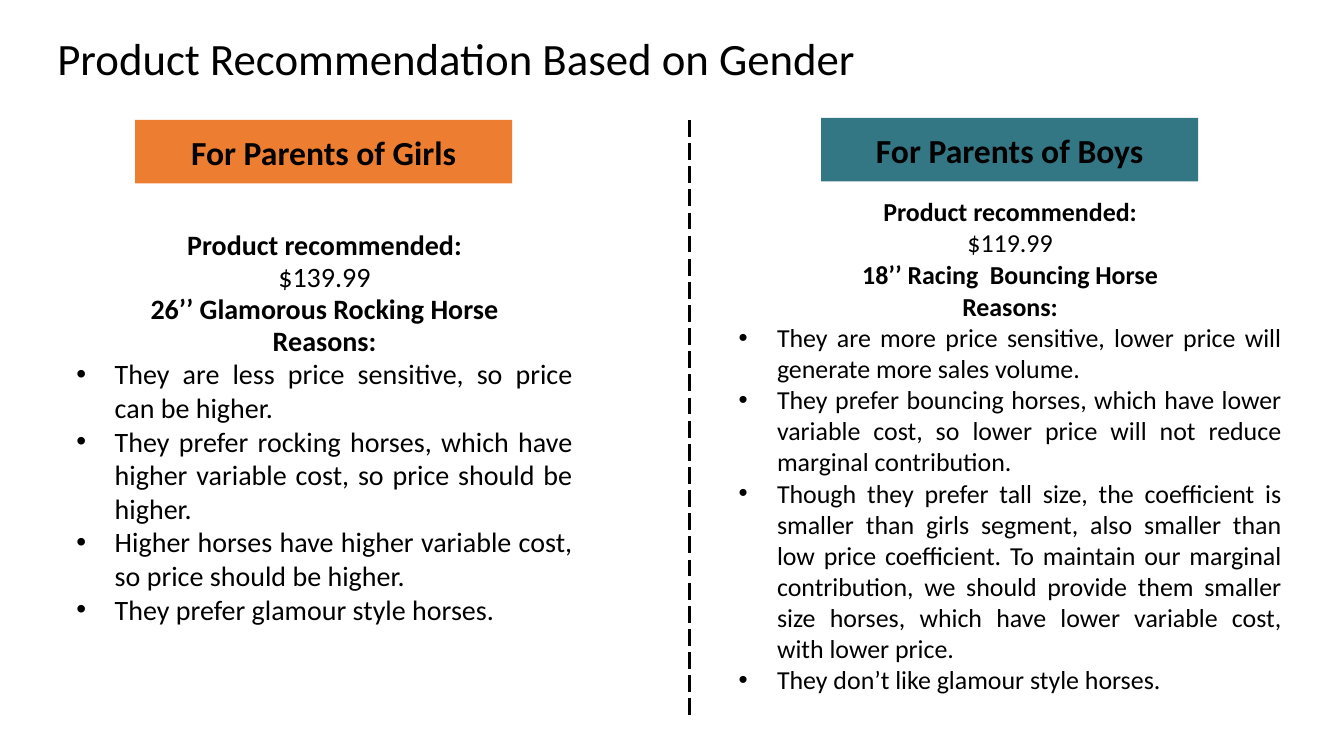
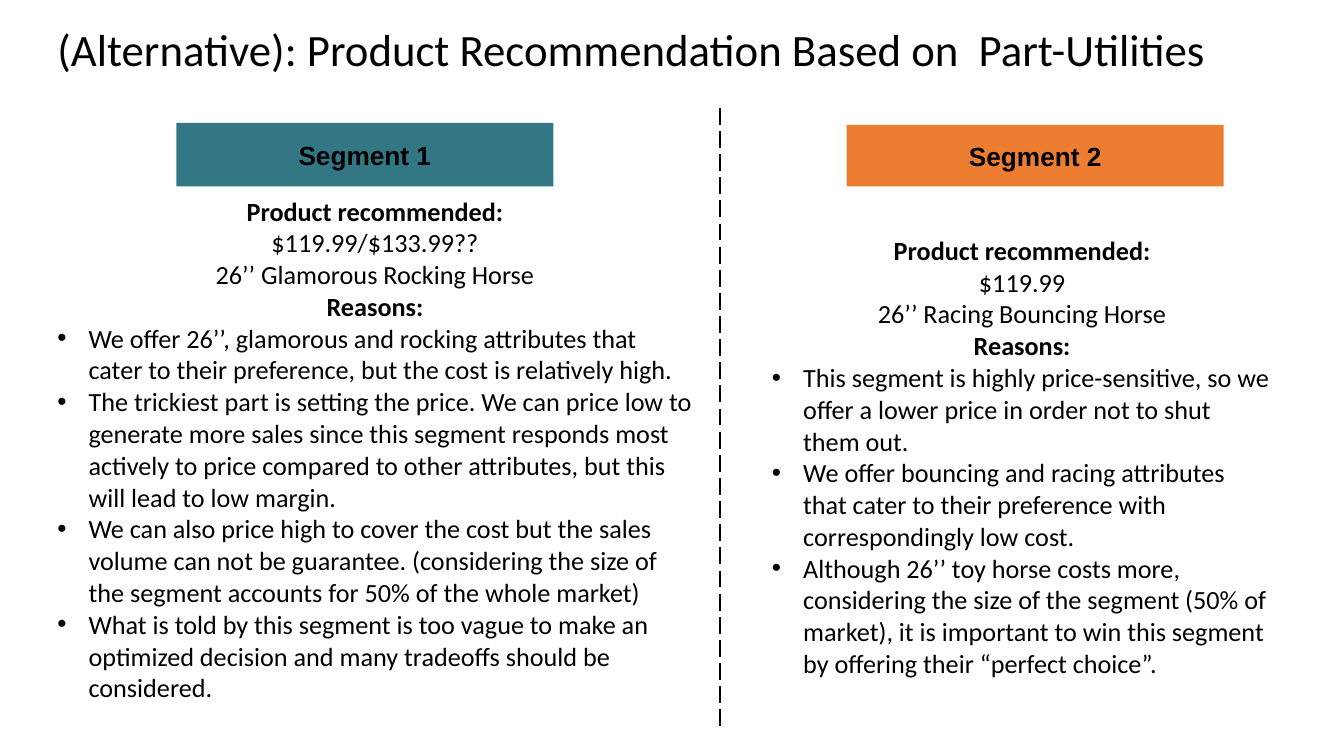
from lxml.etree import SubElement
from pptx import Presentation
from pptx.dml.color import RGBColor
from pptx.enum.dml import MSO_LINE
from pptx.enum.shapes import MSO_CONNECTOR, MSO_SHAPE
from pptx.enum.text import MSO_ANCHOR, PP_ALIGN
from pptx.oxml.ns import qn
from pptx.util import Inches, Pt

BLACK = RGBColor(0x00, 0x00, 0x00)
ORANGE = RGBColor(0xED, 0x7D, 0x31)
TEAL = RGBColor(0x33, 0x77, 0x85)
BODY_FONT = "Calibri"
HEADING_SPACING = Pt(22.7)

deck = Presentation()
deck.slide_width = Inches(13.33)
deck.slide_height = Inches(7.5)
COLUMN = deck.slide_width / 100
ROW = deck.slide_height / 100


def place(left, top, width, height):
    return (round(left * COLUMN), round(top * ROW),
            round(width * COLUMN), round(height * ROW))


def style(para, size, bold=False, font=BODY_FONT):
    for span in para.runs:
        span.font.name = font
        span.font.size = Pt(size)
        span.font.bold = bold
        span.font.color.rgb = BLACK


pages = [
    {
        "title": "Product Recommendation Based on Gender",
        "title_top": 3.07,
        "divider": (51.3, 15.87, 95.33),
        "banner_font": ("Calibri", 24),
        "bold_product": True,
        "bullet_align": PP_ALIGN.JUSTIFY,
        "bullet_indent": Inches(0.38),
        "bullet_spacing": 1.0,
        "segments": [
            {
                "label": "For Parents of Girls",
                "color": ORANGE,
                "banner": (10.05, 15.87, 28.05, 8.4),
                "body": (4.95, 29.73, 38.4, 54.4),
                "sizes": (20, 20),
                "price": "$139.99",
                "product": "26’’ Glamorous Rocking Horse",
                "reasons": [
                    "They are less price sensitive, so price can be higher.",
                    "They prefer rocking horses, which have higher variable cost, "
                    "so price should be higher.",
                    "Higher horses have higher variable cost, so price should be higher.",
                    "They prefer glamour style horses.",
                ],
            },
            {
                "label": "For Parents of Boys",
                "color": TEAL,
                "banner": (61.1, 15.6, 28.05, 8.4),
                "body": (54.23, 25.07, 41.85, 72),
                "sizes": (18.5, 18.5),
                "price": "$119.99",
                "product": "18’’ Racing  Bouncing Horse",
                "reasons": [
                    "They are more price sensitive, lower price will generate "
                    "more sales volume.",
                    "They prefer bouncing horses, which have lower variable cost, "
                    "so lower price will not reduce marginal contribution.",
                    "Though they prefer tall size, the coefficient is smaller than "
                    "girls segment, also smaller than low price coefficient. To "
                    "maintain our marginal contribution, we should provide them "
                    "smaller size horses, which have lower variable cost, with "
                    "lower price.",
                    "They don’t like glamour style horses.",
                ],
            },
        ],
    },
    {
        "title": "(Alternative): Product Recommendation Based on  Part-Utilities",
        "title_top": 2,
        "divider": (53.6, 14.27, 96.13),
        "banner_font": ("Arial", 18.7),
        "bold_product": False,
        "bullet_align": PP_ALIGN.LEFT,
        "bullet_indent": Inches(0.31),
        "bullet_spacing": HEADING_SPACING,
        "segments": [
            {
                "label": "Segment 1",
                "color": TEAL,
                "banner": (13.12, 16.27, 28.05, 8.4),
                "body": (3.53, 25.07, 48.75, 70),
                "sizes": (18.7, 18.7),
                "price": "$119.99/$133.99??",
                "product": "26’’ Glamorous Rocking Horse",
                "reasons": [
                    "We offer 26’’, glamorous and rocking attributes that cater to "
                    "their preference, but the cost is relatively high.",
                    "The trickiest part is setting the price. We can price low to "
                    "generate more sales since this segment responds most actively "
                    "to price compared to other attributes, but this will lead to "
                    "low margin.",
                    "We can also price high to cover the cost but the sales volume "
                    "can not be guarantee. (considering the size of the segment "
                    "accounts for 50% of the whole market)",
                    "What is told by this segment is too vague to make an optimized "
                    "decision and many tradeoffs should be considered.",
                ],
            },
            {
                "label": "Segment 2",
                "color": ORANGE,
                "banner": (63, 16.53, 28.05, 8.13),
                "body": (56.7, 30.27, 38.7, 69.7),
                "sizes": (18.7, 18.7),
                "price": "$119.99",
                "product": "26’’ Racing Bouncing Horse",
                "reasons": [
                    "This segment is highly price-sensitive, so we offer a lower "
                    "price in order not to shut them out.",
                    "We offer bouncing and racing attributes that cater to their "
                    "preference with correspondingly low cost.",
                    "Although 26’’ toy horse costs more, considering the size of the "
                    "segment (50% of market), it is important to win this segment by "
                    "offering their “perfect choice”.",
                ],
            },
        ],
    },
]

for content in pages:
    page = deck.slides.add_slide(deck.slide_layouts[6])

    title = page.shapes.add_textbox(*place(3.53, content["title_top"], 95.5, 9.87))
    title.text_frame.word_wrap = True
    title.text_frame.vertical_anchor = MSO_ANCHOR.MIDDLE
    title.text_frame.text = content["title"]
    title.text_frame.paragraphs[0].line_spacing = 0.9
    style(title.text_frame.paragraphs[0], 32)

    across, start, end = content["divider"]
    left, top, width, height = place(across, start, 0, end - start)
    divider = page.shapes.add_connector(
        MSO_CONNECTOR.STRAIGHT, left, top, left + width, top + height)
    divider.line.color.rgb = BLACK
    divider.line.width = Pt(1.5)
    divider.line.dash_style = MSO_LINE.LONG_DASH
    SubElement(divider._element.spPr, qn("a:effectLst"))

    banner_font, banner_size = content["banner_font"]
    for segment in content["segments"]:
        banner = page.shapes.add_shape(MSO_SHAPE.RECTANGLE, *place(*segment["banner"]))
        banner.shadow.inherit = False
        banner.fill.solid()
        banner.fill.fore_color.rgb = segment["color"]
        banner.line.fill.background()
        banner.text_frame.vertical_anchor = MSO_ANCHOR.MIDDLE
        banner.text_frame.text = segment["label"]
        banner.text_frame.paragraphs[0].alignment = PP_ALIGN.CENTER
        style(banner.text_frame.paragraphs[0], banner_size, True, banner_font)

        body = page.shapes.add_textbox(*place(*segment["body"]))
        body.text_frame.word_wrap = True
        headings = [
            ("Product recommended:", True),
            (segment["price"], False),
            (segment["product"], content["bold_product"]),
            ("Reasons:", True),
        ]
        heading_texts = [text for text, bold in headings]
        body.text_frame.text = "\n".join(heading_texts + segment["reasons"])
        paragraphs = body.text_frame.paragraphs
        heading_size, bullet_size = segment["sizes"]

        for para, (text, bold) in zip(paragraphs, headings):
            para.alignment = PP_ALIGN.CENTER
            para.line_spacing = HEADING_SPACING
            style(para, heading_size, bold)

        for para in paragraphs[len(headings):]:
            para.alignment = content["bullet_align"]
            para.line_spacing = content["bullet_spacing"]
            style(para, bullet_size)
            properties = para._p.get_or_add_pPr()
            properties.set("marL", str(content["bullet_indent"]))
            properties.set("indent", str(-content["bullet_indent"]))
            SubElement(properties, qn("a:buFont"), typeface="Arial")
            SubElement(properties, qn("a:buChar"), char="•")

deck.save("out.pptx")
